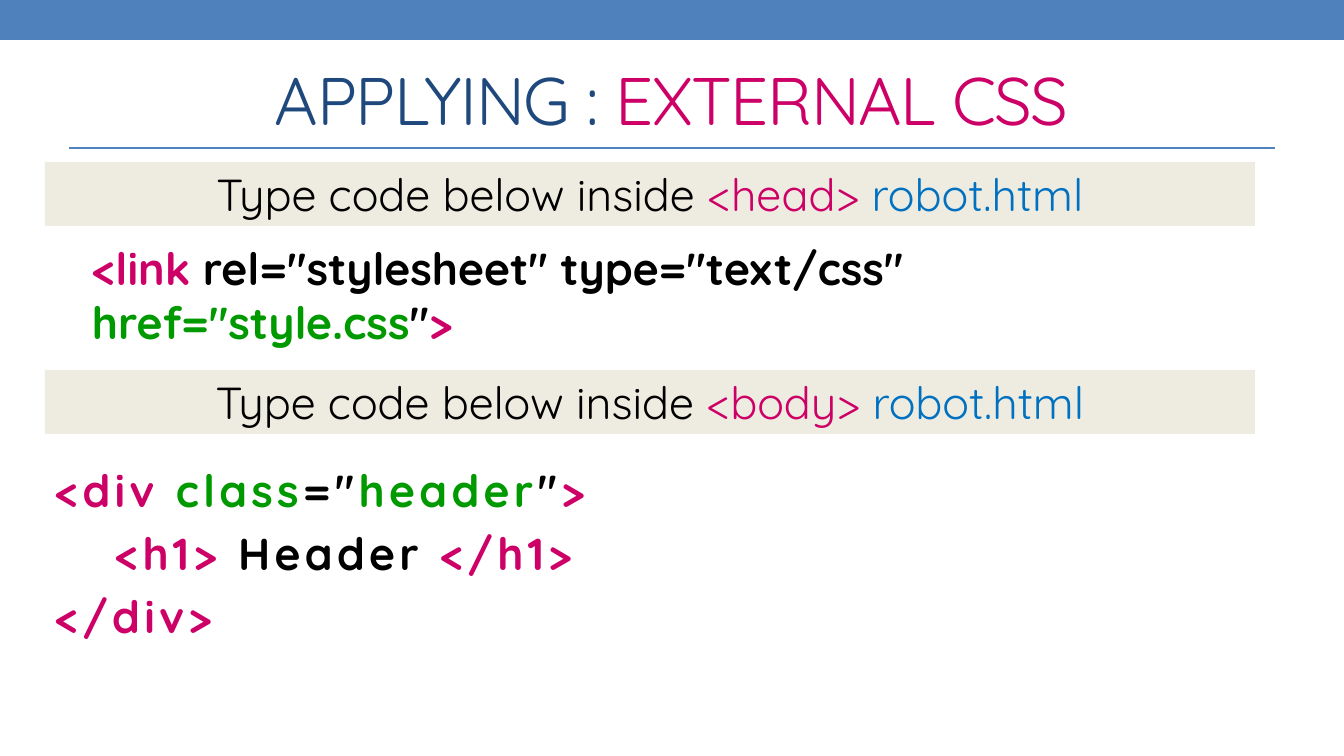
import pptx
import pptx.util
import pptx.dml.color
import pptx.enum.shapes
import pptx.enum.text
import pptx.oxml.ns
import lxml.etree

RGB = pptx.dml.color.RGBColor
BLUE = RGB(0x4F, 0x81, 0xBD)
NAVY = RGB(0x1F, 0x49, 0x7D)
PINK = RGB(0xCC, 0x00, 0x66)
GREEN = RGB(0x00, 0x99, 0x00)
SKY = RGB(0x00, 0x70, 0xC0)
BEIGE = RGB(0xEE, 0xEC, 0xE1)
BLACK = RGB(0x00, 0x00, 0x00)

EMU_PER_PX = 914400 / 100.8
SLIDE_W, SLIDE_H = 1344, 756
MARGIN, CONTENT_W, BANNER_H = 45, 1210, 64
INDENT = 60

TITLE = [(0, [("APPLYING : ", NAVY), ("EXTERNAL CSS", PINK)])]
BANNERS = [(162, "<head> "), (370, "<body> ")]
LINK_CODE = [(0, [
    ("<link ", PINK),
    ('rel="stylesheet" type="text/css" ', BLACK),
    ('href="style.css', GREEN),
    ('"', BLACK),
    (">", PINK),
])]
DIV_CODE = [
    (0, [("<div ", PINK), ("class", GREEN), ('="', BLACK),
         ("header", GREEN), ('"', BLACK), (">", PINK)]),
    (1, [("<h1> ", PINK), ("Header ", BLACK), ("</h1>", PINK)]),
    (0, [("</div>", PINK)]),
]


def px(length):
    return pptx.util.Emu(round(length * EMU_PER_PX))


def write(frame, paragraphs, size=32, bold=False, spacing=0, before=0,
          align=pptx.enum.text.PP_ALIGN.LEFT,
          anchor=pptx.enum.text.MSO_ANCHOR.TOP):
    frame.word_wrap = True
    frame.vertical_anchor = anchor
    for number, (level, runs) in enumerate(paragraphs):
        paragraph = frame.add_paragraph() if number else frame.paragraphs[0]
        paragraph.alignment = align
        paragraph.space_before = pptx.util.Pt(before)
        if level:
            paragraph.level = level
            properties = paragraph._p.get_or_add_pPr()
            properties.set("marL", str(px(INDENT * level)))
            properties.set("indent", "0")
        for words, color in runs:
            run = paragraph.add_run()
            run.text = words
            run.font.name = "Quicksand"
            run.font.size = pptx.util.Pt(size)
            run.font.bold = bold
            run.font.color.rgb = color
            if spacing:
                run._r.get_or_add_rPr().set("spc", str(spacing * 100))


def add_bar(shapes, left, top, width, height, color):
    bar = shapes.add_shape(pptx.enum.shapes.MSO_SHAPE.RECTANGLE,
                           px(left), px(top), px(width), px(height))
    bar.shadow.inherit = False
    bar.fill.solid()
    bar.fill.fore_color.rgb = color
    bar.line.fill.background()
    return bar


def add_text(shapes, left, top, width, height, paragraphs, **text_format):
    box = shapes.add_textbox(px(left), px(top), px(width), px(height))
    write(box.text_frame, paragraphs, **text_format)


def main():
    deck = pptx.Presentation()
    deck.slide_width, deck.slide_height = px(SLIDE_W), px(SLIDE_H)
    shapes = deck.slides.add_slide(deck.slide_layouts[6]).shapes

    add_bar(shapes, 0, 0, SLIDE_W, 40, BLUE)
    rule = shapes.add_connector(pptx.enum.shapes.MSO_CONNECTOR.STRAIGHT,
                                px(69), px(148), px(1275), px(148))
    rule.line.color.rgb = BLUE
    rule.line.width = pptx.util.Pt(0.75)
    lxml.etree.SubElement(rule._element.spPr,
                          pptx.oxml.ns.qn("a:effectLst"))

    centre = pptx.enum.text.PP_ALIGN.CENTER
    middle = pptx.enum.text.MSO_ANCHOR.MIDDLE
    add_text(shapes, 67, 44, CONTENT_W, 109, TITLE, size=48, spacing=-1,
             align=centre, anchor=middle)
    for top, tag in BANNERS:
        banner = add_bar(shapes, MARGIN, top, CONTENT_W, BANNER_H, BEIGE)
        label = [(0, [("Type code below inside ", BLACK), (tag, PINK),
                      ("robot.html", SKY)])]
        write(banner.text_frame, label, align=centre)
    add_text(shapes, 82, 236, 1174, 118, LINK_CODE, bold=True)
    add_text(shapes, MARGIN, 458, CONTENT_W, 201, DIV_CODE, bold=True,
             spacing=3, before=6.4)

    deck.save("out.pptx")


if __name__ == "__main__":
    main()
